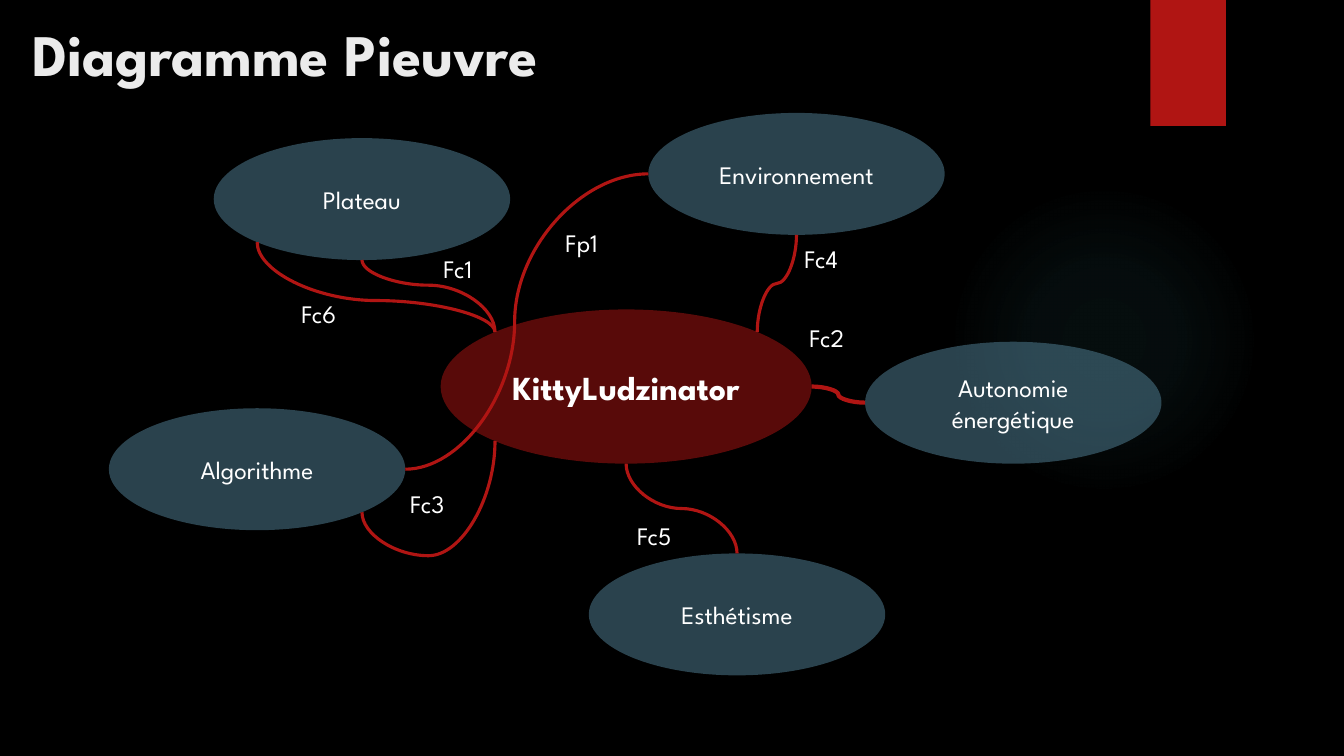
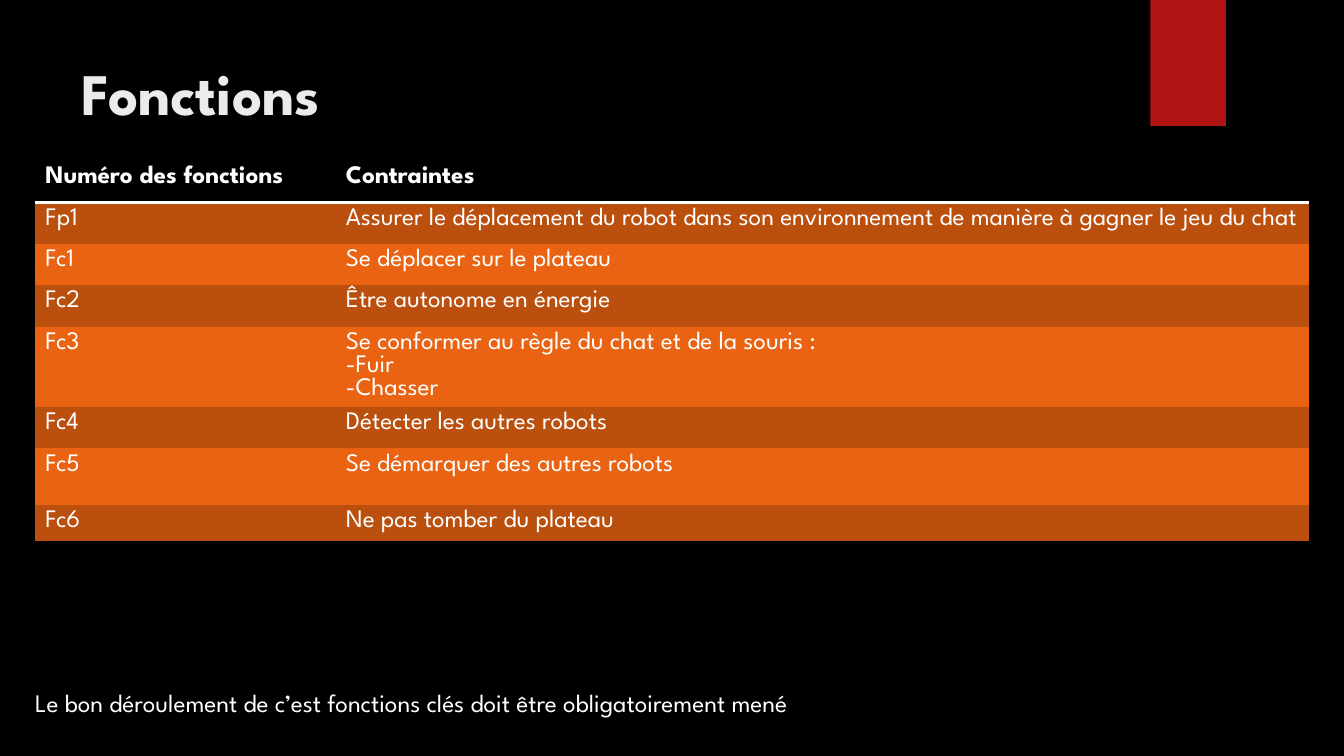
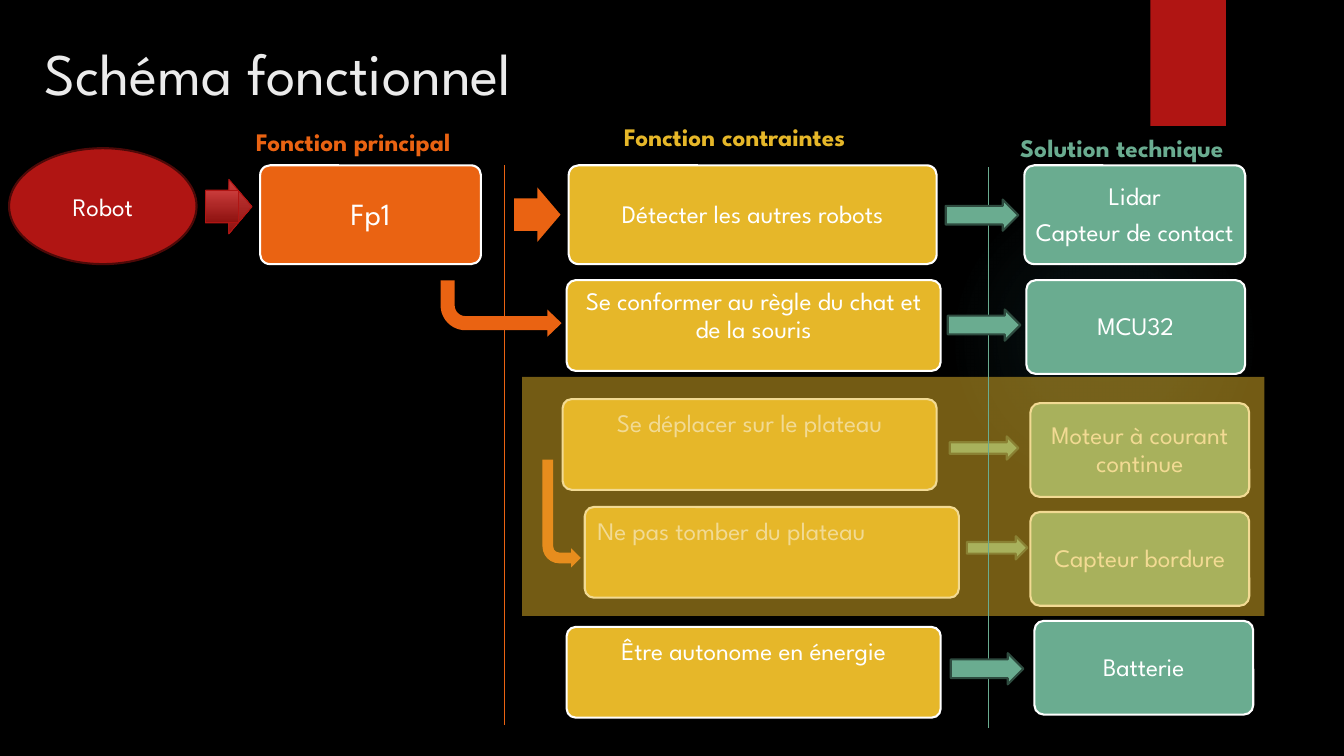
from math import cos, pi, sin

from pptx import Presentation
from pptx.dml.color import RGBColor
from pptx.enum.shapes import MSO_CONNECTOR, MSO_SHAPE
from pptx.enum.text import MSO_ANCHOR, MSO_AUTO_SIZE, PP_ALIGN
from pptx.oxml import parse_xml
from pptx.oxml.ns import nsdecls, qn
from pptx.util import Inches, Pt
from lxml.etree import SubElement

OVAL, RECT, CARD = MSO_SHAPE.OVAL, MSO_SHAPE.RECTANGLE, MSO_SHAPE.ROUNDED_RECTANGLE
ARROW, BEND = MSO_SHAPE.RIGHT_ARROW, MSO_SHAPE.BENT_ARROW
CURVE, STRAIGHT = MSO_CONNECTOR.CURVE, MSO_CONNECTOR.STRAIGHT
LEFT, CENTER = PP_ALIGN.LEFT, PP_ALIGN.CENTER
TOP, MIDDLE = MSO_ANCHOR.TOP, MSO_ANCHOR.MIDDLE

FONT = "League Spartan"
BLACK, WHITE, PALE = "000000", "FFFFFF", "EBEBEB"
RED, WINE, BLUE = "B01513", "4D0908", "54849A"
ORANGE, RUST, GOLD = "EA6312", "BB4F0E", "E6B729"
GREEN, PINE, TEAL = "6AAC90", "2E4B3F", "50B9C1"
LEAD, TIGHT = 1.22, 1.1  # line pitch as a multiple of the text size


# Shared helpers
def rgb(code):
    return RGBColor.from_string(code)


def style(para, size=18, color=WHITE, bold=False, align=LEFT, lead=None):
    para.alignment = align
    if lead:
        para.line_spacing = Pt(round(size * lead, 1))
    for run in para.runs:
        font = run.font
        font.name, font.size, font.bold = FONT, Pt(size), bold
        font.color.rgb = rgb(color)


def write(frame, text, anchor=TOP, pad=0.1, lead=LEAD, **look):
    frame.word_wrap = True
    frame.auto_size = MSO_AUTO_SIZE.NONE
    frame.vertical_anchor = anchor
    frame.margin_left = frame.margin_right = Inches(pad)
    frame.margin_top = frame.margin_bottom = Inches(0.05)
    frame.text = text
    for i, para in enumerate(frame.paragraphs):
        style(para, lead=lead, **look)
        if i:
            para.space_before = Pt(6)


def label(slide, box, text, **look):
    area = slide.shapes.add_textbox(*map(Inches, box))
    write(area.text_frame, text, **look)


def draw(slide, kind, box, fill, line=None, width=1.5, alpha=None, adj=()):
    shape = slide.shapes.add_shape(kind, *map(Inches, box))
    shape.shadow.inherit = False
    shape.fill.solid()
    shape.fill.fore_color.rgb = rgb(fill)
    if alpha:
        tint = shape.fill._xPr.find(".//" + qn("a:srgbClr"))
        SubElement(tint, qn("a:alpha")).set("val", str(alpha * 1000))
    if line:
        shape.line.color.rgb = rgb(line)
        shape.line.width = Pt(width)
    else:
        shape.line.fill.background()
    for i, value in enumerate(adj):
        shape.adjustments[i] = value
    return shape


def join(slide, kind, start, end, color, width):
    line = slide.shapes.add_connector(kind, *map(Inches, (*start, *end)))
    line.line.color.rgb = rgb(color)
    line.line.width = Pt(width)
    SubElement(line._element.spPr, qn("a:effectLst"))
    return line


def glow(slide, box):
    shape = draw(slide, OVAL, box, TEAL)
    stops = "".join(
        f'<a:gs pos="{pos}000"><a:srgbClr val="{TEAL}"><a:alpha val="{alpha}000"/>'
        "</a:srgbClr></a:gs>" for pos, alpha in ((0, 7), (36, 6), (69, 0)))
    grad = parse_xml(
        f'<a:gradFill {nsdecls("a")}><a:gsLst>{stops}</a:gsLst><a:path path="circle">'
        '<a:fillToRect l="50000" t="50000" r="50000" b="50000"/></a:path></a:gradFill>')
    props = shape._element.spPr
    props.replace(props.find(qn("a:solidFill")), grad)


def start(prs, title, left, top, bold=True):
    slide = prs.slides.add_slide(prs.slide_layouts[5])
    glow(slide, (9.41, 1.83, 3.08, 3.08))
    draw(slide, RECT, (11.41, 0, 0.75, 1.25), RED)
    head = slide.shapes.title
    head.left, head.top, head.width, head.height = map(Inches, (left, top, 10.29, 1.53))
    write(head.text_frame, title, size=42, color=PALE, bold=bold)
    return slide


# Slide 1: octopus diagram
HUB = "KittyLudzinator"
NODES = {
    "Environnement": (6.43, 1.12),
    "Esthétisme": (5.84, 5.49),
    "Algorithme": (1.08, 4.05),
    "Autonomie énergétique": (8.58, 3.39),
    "Plateau": (2.12, 1.37),
}
# Sites run anticlockwise from the top of an oval, 45 degrees apart
LINKS = [
    (HUB, 1, "Plateau", 4, 0.65, 2.25),
    (HUB, 6, "Autonomie énergétique", 2, 0.5, 3),
    ("Environnement", 2, "Algorithme", 6, 0.55, 2.25),
    ("Algorithme", 5, HUB, 3, -0.61, 2.25),
    (HUB, 7, "Environnement", 4, 0.5, 2.25),
    ("Esthétisme", 0, HUB, 4, 0.5, 2.25),
    ("Plateau", 3, HUB, 1, 0.65, 2.25),
]
TAGS = [("Fc1", 4.3, 2.46), ("Fp1", 5.51, 2.2), ("Fc2", 7.93, 3.14), ("Fc3", 3.97, 4.79),
        ("Fc4", 7.88, 2.36), ("Fc5", 6.22, 5.11), ("Fc6", 2.89, 2.91)]


def site(box, index):
    x, y, w, h = box
    turn = index * pi / 4
    return x + w / 2 * (1 - sin(turn)), y + h / 2 * (1 - cos(turn))


def node(slide, box, text, fill, **look):
    oval = draw(slide, OVAL, box, fill, alpha=50)
    write(oval.text_frame, text, anchor=MIDDLE, align=CENTER, **look)
    return oval, box


def link(slide, tail, tail_at, head, head_at, adj, width):
    (x1, y1), (x2, y2) = site(tail[1], tail_at), site(head[1], head_at)
    dx, dy = x2 - x1, y2 - y1
    turn = 0
    if tail_at not in (2, 6):  # leaves vertically: lay it flat, then turn it
        turn = 1 if dx * dy < 0 else -1
        dx, dy = turn * dy, -turn * dx
    mx, my = (x1 + x2) / 2, (y1 + y2) / 2
    line = join(slide, CURVE, (mx - dx / 2, my - dy / 2), (mx + dx / 2, my + dy / 2),
                RED, width)
    props = line._element.spPr
    if turn:
        props.find(qn("a:xfrm")).set("rot", str(turn % 4 * 5400000))
    guides = props.find(qn("a:prstGeom")).find(qn("a:avLst"))
    guide = SubElement(guides, qn("a:gd"))
    guide.set("name", "adj1")
    guide.set("fmla", f"val {round(adj * 100000)}")
    ends = line._element.find(".//" + qn("p:cNvCxnSpPr"))
    for tag, oval, index in (("a:stCxn", tail[0], tail_at), ("a:endCxn", head[0], head_at)):
        glue = SubElement(ends, qn(tag))
        glue.set("id", str(oval.shape_id))
        glue.set("idx", str(index))


def octopus(prs):
    slide = start(prs, "Diagramme Pieuvre", 0.22, 0.11)
    ovals = {HUB: node(slide, (4.37, 3.07, 3.68, 1.53), HUB, RED, size=24, bold=True)}
    for name, spot in NODES.items():
        ovals[name] = node(slide, (*spot, 2.94, 1.21), name, BLUE)
    for tail, tail_at, head, head_at, adj, width in LINKS:
        link(slide, ovals[tail], tail_at, ovals[head], head_at, adj, width)
    for text, x, y in TAGS:
        label(slide, (x, y, 1.04, 0.4), text)


# Slide 2: table of functions
ROWS = [
    ("Numéro des fonctions", "Contraintes", 0.41),
    ("Fp1", "Assurer le déplacement du robot dans son environnement de manière à "
            "gagner le jeu du chat", 0.41),
    ("Fc1", "Se déplacer sur le plateau", 0.41),
    ("Fc2", "Être autonome en énergie", 0.41),
    ("Fc3", "Se conformer au règle du chat et de la souris :\n-Fuir\n-Chasser", 0.8),
    ("Fc4", "Détecter les autres robots", 0.41),
    ("Fc5", "Se démarquer des autres robots", 0.56),
    ("Fc6", "Ne pas tomber du plateau", 0.36),
]


def underline(cell):
    cell._tc.get_or_add_tcPr().insert(0, parse_xml(
        f'<a:lnB {nsdecls("a")} w="25400"><a:solidFill><a:srgbClr val="{WHITE}"/>'
        "</a:solidFill></a:lnB>"))


def grid(slide, box, widths):
    table = slide.shapes.add_table(len(ROWS), len(widths), *map(Inches, box)).table
    table.first_row = table.horz_banding = False
    plain = "{2D5ABB26-0587-4C30-8999-92F81FD0307C}"
    table._tbl.tblPr.find(qn("a:tableStyleId")).text = plain
    for col, width in zip(table.columns, widths):
        col.width = Inches(width)
    for r, (*texts, height) in enumerate(ROWS):
        table.rows[r].height = Inches(height)
        fill = BLACK if r == 0 else RUST if r % 2 else ORANGE
        for c, text in enumerate(texts):
            cell = table.cell(r, c)
            cell.text_frame.text = text
            for para in cell.text_frame.paragraphs:
                style(para, bold=r == 0)
            cell.fill.solid()
            cell.fill.fore_color.rgb = rgb(fill)
            if r == 0:
                underline(cell)


def functions(prs):
    slide = start(prs, "Fonctions", 0.71, 0.5)
    grid(slide, (0.35, 1.6, 12.63, 3.77), (2.98, 9.65))
    label(slide, (0.25, 6.76, 10.75, 0.4),
          "Le bon déroulement de c’est fonctions clés doit être obligatoirement mené")


# Slide 3: functional diagram
HEADS = [("Fonction principal", 2.44, 1.2, ORANGE), ("Fonction contraintes", 6.09, 1.15, GOLD),
         ("Solution technique", 10.02, 1.26, GREEN)]
NEEDS = [
    ("Se conformer au règle du chat et de la souris", 5.62, 2.78, CENTER, TIGHT),
    ("Se déplacer sur le plateau", 5.58, 3.96, CENTER, LEAD),
    ("Ne pas tomber du plateau", 5.8, 5.03, LEFT, LEAD),
    ("Être autonome en énergie", 5.62, 6.22, CENTER, LEAD),
]
ANSWERS = [("MCU32", 10.18, 2.78), ("Moteur à courant continue", 10.22, 4),
           ("Capteur bordure", 10.22, 5.08), ("Batterie", 10.26, 6.16)]
BENDS = [((4.37, 2.78, 1.2, 0.56), (0.25, 0.24, 0.25, 0.44)),
         ((5.38, 4.56, 0.38, 1.07), (0.28, 0.25, 0.25, 0.44))]
WIDE = (0.6, 0.5)


def card(slide, box, text, fill, **look):
    shape = draw(slide, CARD, box, fill, WHITE, adj=(0.1,))
    write(shape.text_frame, text, **{"align": CENTER, "lead": TIGHT, **look})


def bend(slide, box, adj):
    shape = draw(slide, BEND, box, ORANGE, adj=adj)
    shape.rotation = 180
    shape._element.spPr.find(qn("a:xfrm")).set("flipH", "1")


def entry(slide, box):
    # Red arrow with a block over its tail
    x, y, w, h = box
    parts = ((ARROW, box, WIDE), (RECT, (x, y + h * 0.2, w * 0.7, h * 0.6), ()))
    for kind, area, adj in parts:
        shape = draw(slide, kind, area, RED, RED, 0.75, adj=adj)
        shape.fill.gradient()
        shape.fill.gradient_angle = 270
        for stop, color, pos in zip(shape.fill.gradient_stops, ("C93B3A", "8D110F"), (0, 1)):
            stop.color.rgb = rgb(color)
            stop.position = pos


def scheme(prs):
    slide = start(prs, "Schéma fonctionnel", 0.34, 0.3, bold=False)
    robot = draw(slide, OVAL, (0.09, 1.47, 1.86, 1.15), RED, WINE)
    write(robot.text_frame, "Robot", anchor=MIDDLE, align=CENTER)

    # Top row
    card(slide, (2.58, 1.64, 2.19, 0.98), "Fp1", ORANGE, anchor=MIDDLE, size=22)
    draw(slide, ARROW, (5.1, 1.86, 0.46, 0.54), ORANGE, adj=WIDE)
    card(slide, (5.64, 1.64, 3.65, 0.98), "Détecter les autres robots", GOLD, anchor=MIDDLE)
    card(slide, (10.16, 1.64, 2.19, 0.98), "Lidar\nCapteur de contact", GREEN,
         anchor=MIDDLE, pad=0.05)

    # Columns of cards
    for text, x, y, color in HEADS:
        label(slide, (x, y, 2.75, 0.4), text, color=color, bold=True)
    for text, x, y, align, lead in NEEDS:
        card(slide, (x, y, 3.71, 0.9), text, GOLD, align=align, lead=lead)
    for text, x, y in ANSWERS:
        card(slide, (x, y, 2.17, 0.93), text, GREEN, anchor=MIDDLE)
    for box, adj in BENDS:
        bend(slide, box, adj)
    for x, y, w in ((9.42, 4.33, 0.68), (9.59, 5.32, 0.6)):
        draw(slide, ARROW, (x, y, w, 0.23), GREEN, PINE)

    # Veil, dividers and the arrows above them
    draw(slide, RECT, (5.18, 3.74, 7.36, 2.37), GOLD, alpha=50)
    for x, top, end, color in ((5, 1.64, 7.19, ORANGE), (9.8, 1.66, 7.22, GREEN)):
        join(slide, STRAIGHT, (x, top), (x, end), color, 0.75)
    for x, y in ((9.38, 1.98), (9.4, 3.07), (9.43, 6.48)):
        draw(slide, ARROW, (x, y, 0.72, 0.31), GREEN, PINE, adj=WIDE)
    entry(slide, (2.04, 1.78, 0.46, 0.54))


def main():
    prs = Presentation()
    prs.slide_width, prs.slide_height = Inches(13.33), Inches(7.5)
    back = prs.slide_master.background.fill
    back.solid()
    back.fore_color.rgb = rgb(BLACK)
    octopus(prs)
    functions(prs)
    scheme(prs)
    prs.save("out.pptx")


if __name__ == "__main__":
    main()
